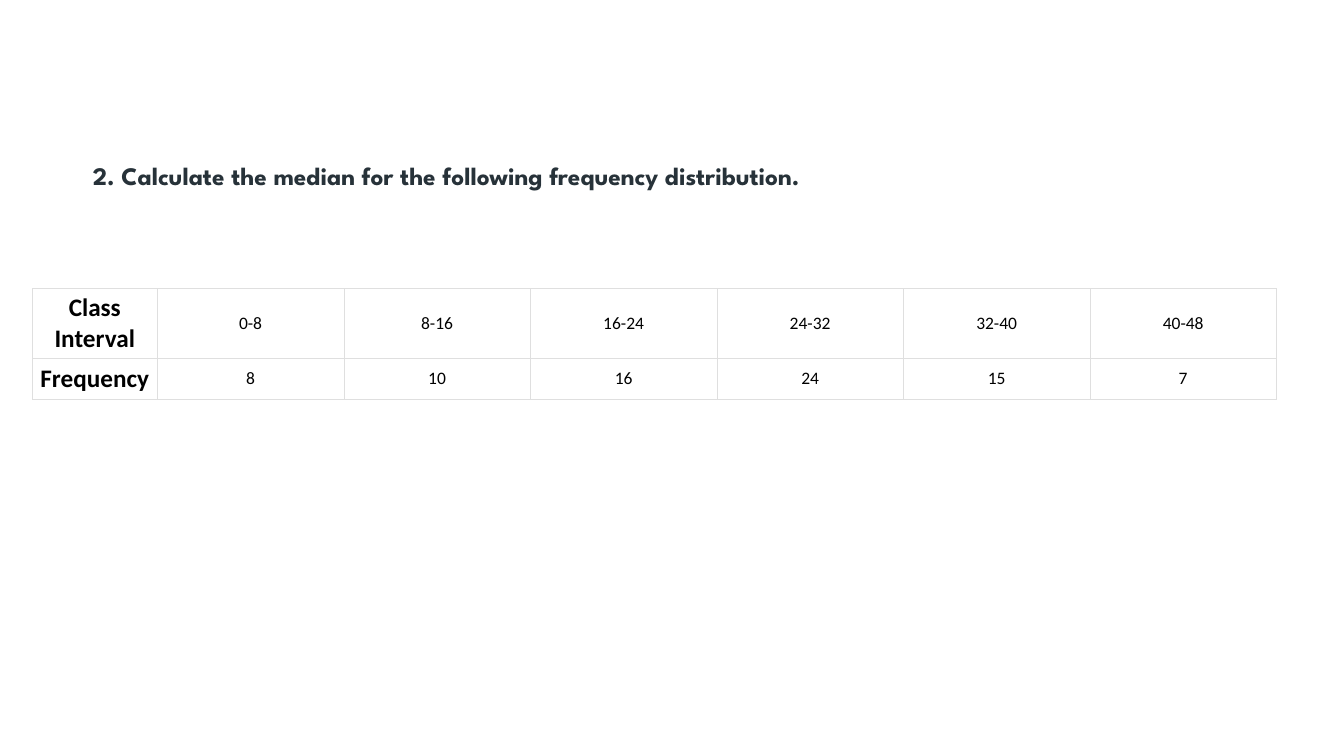
from lxml import etree
from pptx import Presentation
from pptx.dml.color import RGBColor
from pptx.enum.text import MSO_ANCHOR, PP_ALIGN
from pptx.oxml.ns import qn
from pptx.util import Inches, Pt

MIDDLE = MSO_ANCHOR.MIDDLE
LEFT, CENTER = PP_ALIGN.LEFT, PP_ALIGN.CENTER
TITLE_ONLY = 5


def colour(value):
    return RGBColor.from_string(value)


def set_borders(cell, value, width):
    properties = cell._tc.get_or_add_tcPr()
    for position, side in enumerate(("lnL", "lnR", "lnT", "lnB")):
        line = etree.Element(qn(f"a:{side}"), w=str(width))
        fill = etree.SubElement(line, qn("a:solidFill"))
        etree.SubElement(fill, qn("a:srgbClr"), val=value)
        properties.insert(position, line)


deck = Presentation()
deck.slide_width, deck.slide_height = Inches(13.33), Inches(7.5)
page = deck.slides.add_slide(deck.slide_layouts[TITLE_ONLY])

# Question
title = page.shapes.title
title.left, title.top = Inches(0.92), Inches(1.59)
title.width, title.height = Inches(9.25), Inches(0.3)
title.fill.solid()
title.fill.fore_color.rgb = colour("FFFFFF")
frame = title.text_frame
frame.text = "2. Calculate the median for the following frequency distribution."
frame_format = {"margin_left": 0, "margin_right": 0, "margin_top": 0,
                "margin_bottom": 0, "vertical_anchor": MIDDLE, "word_wrap": True}
for name, value in frame_format.items():
    setattr(frame, name, value)
para = frame.paragraphs[0]
para.alignment = LEFT
for name, value in {"name": "League Spartan", "size": Pt(18), "bold": True}.items():
    setattr(para.font, name, value)
para.font.color.rgb = colour("273239")

# Frequency table
class_width = 8
frequencies = [8, 10, 16, 24, 15, 7]
intervals = [f"{i * class_width}-{(i + 1) * class_width}" for i in range(len(frequencies))]
rows = [["Class Interval", *intervals], ["Frequency", *frequencies]]
row_heights = [0.67, 0.4]
column_widths = [1.24] + [1.85] * len(frequencies)

table = page.shapes.add_table(
    len(rows), len(column_widths), Inches(0.32), Inches(2.86),
    Inches(sum(column_widths)), Inches(sum(row_heights))).table
for column, width in zip(table.columns, column_widths):
    column.width = Inches(width)
for row, height in zip(table.rows, row_heights):
    row.height = Inches(height)

for r, values in enumerate(rows):
    for c, value in enumerate(values):
        is_header = c == 0
        side, end = (0.04, 0.04) if is_header else (0.07, 0.1)
        cell = table.cell(r, c)
        cell.text = str(value)
        cell_format = {"margin_left": Inches(side), "margin_right": Inches(side),
                       "margin_top": Inches(end), "margin_bottom": Inches(end),
                       "vertical_anchor": MIDDLE}
        for name, setting in cell_format.items():
            setattr(cell, name, setting)
        cell.fill.solid()
        cell.fill.fore_color.rgb = colour("FFFFFF")
        set_borders(cell, "DFDFDF", Pt(0.15))
        para = cell.text_frame.paragraphs[0]
        para.alignment = CENTER
        font_format = {"name": "Calibri", "size": Pt(18 if is_header else 12.5),
                       "bold": is_header}
        for name, setting in font_format.items():
            setattr(para.font, name, setting)
        para.font.color.rgb = colour("000000")

deck.save("out.pptx")
